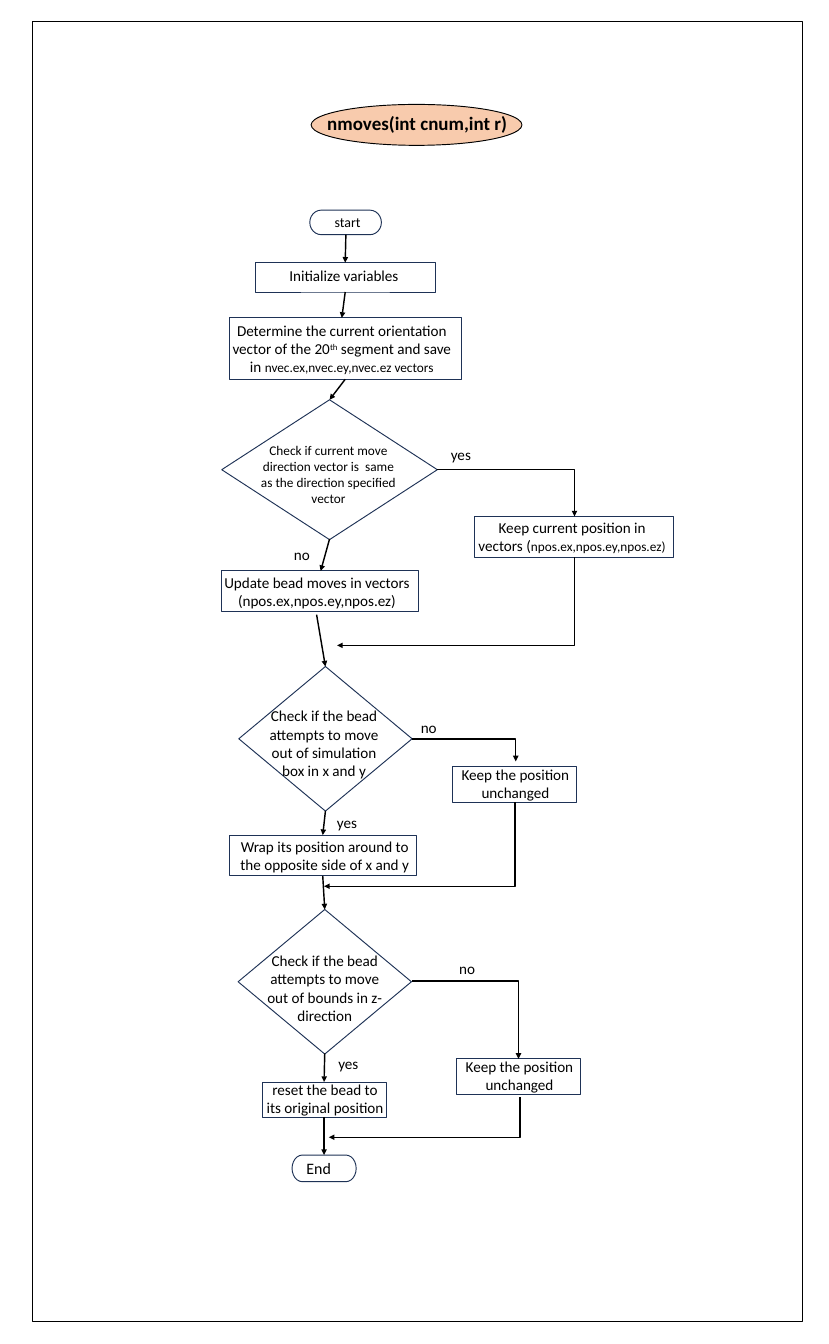
from lxml.etree import SubElement
from pptx import Presentation
from pptx.dml.color import RGBColor
from pptx.enum.shapes import MSO_CONNECTOR, MSO_SHAPE
from pptx.enum.text import MSO_ANCHOR, PP_ALIGN
from pptx.oxml.ns import qn
from pptx.util import Pt

BLACK, NAVY, PEACH = "000000", "1E3256", "F8CBAD"
RECT, ROUND = MSO_SHAPE.RECTANGLE, MSO_SHAPE.FLOWCHART_TERMINATOR
SMALL = (131, 37.4)
SIDE = (3, 1, 3)

STEPS = [
    (ROUND, (326.9, 221.8, 75.6, 25.9), [("start", 14.7)], (4.3, 0, 0)),
    (RECT, (269.3, 277.2, 190.1, 31), [("Initialize variables", 16)], (4.3, 7.2, 4.4)),
    (RECT, (241.9, 335.5, 244.8, 64.8),
     [("Determine the current orientation vector of the 20", 16), ("th", 16, "30000"),
      (" segment and save in ", 16), ("nvec.ex,nvec.ey,nvec.ez vectors", 14)], (0, 7.2, 0)),
    (RECT, (501.1, 545, 209.5, 43.2),
     [("Keep current position in vectors (", 16), ("npos.ex,npos.ey,npos.ez)", 14)], (2.9, 7.2, 0)),
    (RECT, (234, 602.6, 208.1, 43.2),
     [("Update bead moves in vectors (npos.ex,npos.ey,npos.ez)", 16)], (0, 7.2, 0)),
    (RECT, (477.4, 809.3, *SMALL), [("Keep the position unchanged", 16)], SIDE),
    (RECT, (241.9, 881.3, 197.3, 43.2),
     [("Wrap its position around to the opposite side of x and y", 16)], (7.9, 3.6, 0)),
    (RECT, (276.5, 1141.9, *SMALL), [("reset the bead to its original position", 16)], SIDE),
    (RECT, (481.7, 1117.4, *SMALL), [("Keep the position unchanged", 16)], SIDE),
]

CHECKS = [
    ((234, 421.9, 227.5, 147.6), (267.8, 463, 157.7, 74.9), 14,
     "Check if current move direction vector is  same as the direction specified vector"),
    ((252, 703.4, 182.9, 152.6), (273.6, 742.3, 136.8, 104.4), 16,
     "Check if the bead attempts to move out of simulation box in x and y"),
    ((251.3, 959.8, 182.9, 152.6), (274.3, 1000.8, 136.8, 104.4), 16,
     "Check if the bead attempts to move out of bounds in z-direction"),
]

LABELS = [
    ("yes", 468.7, 466.6), ("no", 303.1, 572.4), ("no", 437, 754.6),
    ("yes", 348.5, 854.6), ("no", 477.4, 1008.7), ("yes", 349.9, 1109.5),
]

ARROWS = [
    (365, 247.7, 364.3, 277.2), (364.3, 308.2, 360.7, 335.5),
    (364.3, 400.3, 347.8, 421.9), (347.8, 568.8, 338.4, 602.6),
    (334.1, 648.7, 343.4, 703.4), (343.4, 856.1, 340.6, 881.3),
    (340.6, 924.5, 342.7, 959.8), (342.7, 1111.7, 342, 1141.9),
    (342, 1178.6, 342, 1219),
]

BENDS = [
    (461.5, 495.4, 606.2, 545), (606.2, 588.2, 355.7, 681.1),
    (434.9, 779.8, 544.3, 803.5), (543.6, 846.7, 342, 935.3),
    (434.9, 1035.4, 547.2, 1117.4), (548.6, 1157.8, 347, 1200.2),
]


def rgb(code):
    """Turn a hex string into a colour."""
    return RGBColor.from_string(code)


def write(frame, runs, align=PP_ALIGN.CENTER, anchor=MSO_ANCHOR.TOP, bold=False,
          pad=(7.2, 7.2, 3.6), top=3.6):
    """Fill a text frame with one paragraph of (text, size, baseline) runs."""
    frame.word_wrap = True
    frame.vertical_anchor = anchor
    frame.margin_left, frame.margin_right, frame.margin_bottom = map(Pt, pad)
    frame.margin_top = Pt(top)
    para = frame.paragraphs[0]
    para.alignment = align
    para.line_spacing = 1.0
    para.space_before = Pt(0)
    for text, size, *base in runs:
        run = para.add_run()
        run.text = text
        font = run.font
        font.name, font.size, font.bold = "Calibri", Pt(size), bold
        font.color.rgb = rgb(BLACK)
        for shift in base:
            font._element.set("baseline", shift)


def draw(slide, kind, rect, line=NAVY, fill=None):
    """Add a preset shape with a thin outline."""
    shape = slide.shapes.add_shape(kind, *map(Pt, rect))
    shape.shadow.inherit = False
    shape.line.color.rgb = rgb(line)
    shape.line.width = Pt(1)
    if fill:
        shape.fill.solid()
        shape.fill.fore_color.rgb = rgb(fill)
    else:
        shape.fill.background()
    return shape


def note(slide, rect, runs, **form):
    """Add a text box."""
    write(slide.shapes.add_textbox(*map(Pt, rect)).text_frame, runs, **form)


def step(slide, kind, rect, runs, pad, **form):
    """Add a box with its text centred in height."""
    frame = draw(slide, kind, rect).text_frame
    write(frame, runs, anchor=MSO_ANCHOR.MIDDLE, pad=pad, top=0, **form)


def arrow(slide, ends, kind=MSO_CONNECTOR.STRAIGHT):
    """Add a black connector with an arrowhead at its end."""
    link = slide.shapes.add_connector(kind, *map(Pt, ends))
    link.line.color.rgb = rgb(BLACK)
    link.line.width = Pt(1.5)
    SubElement(link.line._get_or_add_ln(), qn("a:tailEnd"), type="triangle")
    SubElement(link._element.spPr, qn("a:effectLst"))
    return link


def bend(slide, left, top, right, foot):
    """Add a one-corner arrow: right then down, or down then left."""
    ends, turn = (left, top, right, foot), right < left
    if turn:
        midx, midy = (left + right) / 2, (top + foot) / 2
        dx, dy = (foot - top) / 2, (left - right) / 2
        ends = (midx - dx, midy - dy, midx + dx, midy + dy)
    props = arrow(slide, ends, MSO_CONNECTOR.ELBOW)._element.spPr
    props.find(qn("a:prstGeom")).set("prst", "bentConnector2")
    if turn:
        props.find(qn("a:xfrm")).set("rot", "5400000")


def head(slide):
    """Place the title over its ellipse."""
    draw(slide, MSO_SHAPE.OVAL, (328.3, 110.2, 222.5, 43.2), BLACK, PEACH)
    title = slide.shapes.title
    title.left, title.top, title.width, title.height = map(Pt, (6, 113.8, 868.6, 31.7))
    write(title.text_frame, [("nmoves(int cnum,int r)", 20)], bold=True)
    slide.shapes._spTree.append(title._element)


def main():
    """Build the flowchart slide."""
    deck = Presentation()
    deck.slide_width, deck.slide_height = Pt(874.8), Pt(1418.4)
    slide = deck.slides.add_slide(deck.slide_layouts[5])
    draw(slide, RECT, (34.6, 23, 812.2, 1371.6), BLACK)
    head(slide)
    for item in STEPS:
        step(slide, *item)
    step(slide, ROUND, (308.2, 1219, 67.7, 28.1), [("End", 16.8)], (12, 0, 0),
         align=PP_ALIGN.LEFT)
    for rect, area, size, text in CHECKS:
        draw(slide, MSO_SHAPE.DIAMOND, rect)
        note(slide, area, [(text, size)])
    for ends in ARROWS:
        arrow(slide, ends)
    for ends in BENDS:
        bend(slide, *ends)
    for text, left, top in LABELS:
        note(slide, (left, top, 50, 26.6), [(text, 16)], align=PP_ALIGN.LEFT)
    deck.save("out.pptx")


if __name__ == "__main__":
    main()
